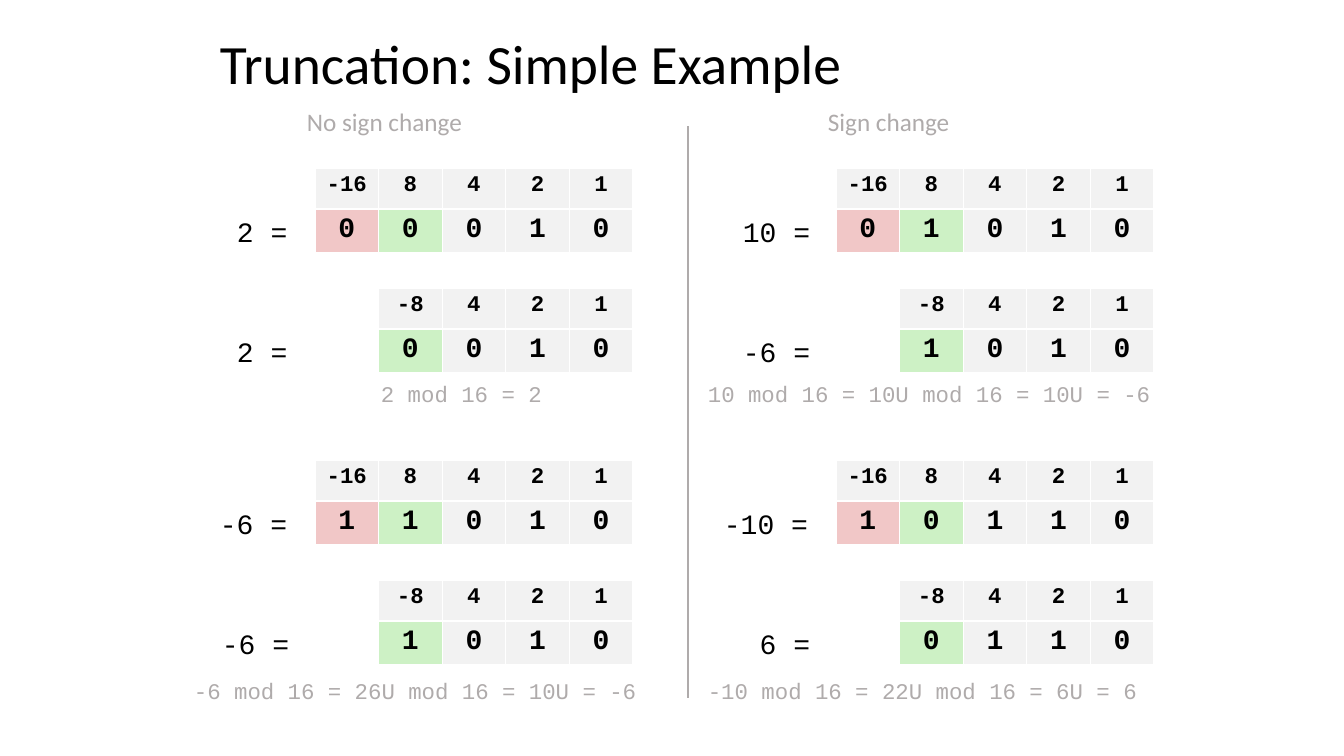
from dataclasses import dataclass

from lxml.etree import SubElement as Sub
from pptx import Presentation
from pptx.dml.color import RGBColor as Color
from pptx.enum.shapes import MSO_CONNECTOR as Link
from pptx.enum.text import MSO_ANCHOR as Anchor, PP_ALIGN as Align
from pptx.oxml.ns import qn
from pptx.util import Pt


@dataclass(frozen=True)
class Theme:
    black: str = "000000"
    white: str = "FFFFFF"
    gray: str = "AFABAB"
    pale: str = "F2F2F2"
    red: str = "F1C7C7"
    green: str = "CDF1C5"
    sans: str = "Calibri"
    mono: str = "Courier New"
    title: float = 39.6
    large: int = 20
    head: int = 18
    small: int = 16


THEME = Theme()
COLS = 5
ROWS = (41, 43)
WIDTH = 318
TOPS = (168, 460)
STEP = 120

# Per half: heading, table left edge, then two cases of
# (label, left, width, bits) rows and a (text, left, width, top) sum.
HALVES = (
    (("No sign change", 297, 178), 315, (
        ((("2 =", 227, 89, "00010"), ("2 =", 227, 89, "0010")),
         ("2 mod 16 = 2", 371, 184, 375)),
        ((("-6 =", 210, 105, "11010"), ("-6 =", 212, 105, "1010")),
         ("-6 mod 16 = 26U mod 16 = 10U = -6", 184, 470, 672)),
    )),
    (("Sign change", 818, 145), 836, (
        ((("10 =", 733, 105, "01010"), ("-6 =", 733, 105, "1010")),
         ("10 mod 16 = 10U mod 16 = 10U = -6", 698, 470, 375)),
        ((("-10 =", 714, 122, "10110"), (" 6 =", 733, 105, "0110")),
         ("-10 mod 16 = 22U mod 16 = 6U = 6", 698, 456, 672)),
    )),
)


def px(n):
    return round(n * 914400 / 100.8)


def add_run(para, text, size, font, color, bold=False):
    run = para.add_run()
    run.text = text
    run.font.size = Pt(size)
    run.font.name = font
    run.font.bold = bold
    run.font.color.rgb = Color.from_string(color)


def add_text(slide, text, box, size, font, color):
    frame = slide.shapes.add_textbox(*map(px, box)).text_frame
    frame.word_wrap = True
    add_run(frame.paragraphs[0], text, size, font, color)
    return frame


def add_title(slide, text):
    frame = add_text(slide, text, (210, 35, 966, 63),
                     THEME.title, THEME.sans, THEME.black)
    frame.vertical_anchor = Anchor.MIDDLE
    frame.paragraphs[0].line_spacing = 0.9


def add_rule(slide, x, top, end):
    rule = slide.shapes.add_connector(
        Link.STRAIGHT, px(x), px(top), px(x), px(end))
    rule.line.color.rgb = Color.from_string(THEME.gray)
    rule.line.width = Pt(2)
    Sub(rule._element.spPr, qn("a:effectLst"))


def style_cell(cell, color):
    """Draw white borders, then fill: the schema wants this order."""
    props = cell._tc.get_or_add_tcPr()
    for side in ("lnL", "lnR", "lnT", "lnB"):
        line = Sub(props, qn(f"a:{side}"), w=str(Pt(1)))
        Sub(Sub(line, qn("a:solidFill")), qn("a:srgbClr"), val=THEME.white)
    cell.fill.solid()
    cell.fill.fore_color.rgb = Color.from_string(color)


def add_bits(slide, left, top, bits):
    """Show bits under their weights, aligned right in five columns."""
    table = slide.shapes.add_table(
        2, COLS, px(left), px(top), px(WIDTH), px(sum(ROWS))).table
    table.first_row = table.horz_banding = False
    for row, high in zip(table.rows, ROWS):
        row.height = px(high)
    marks = {0: THEME.red, 1: THEME.green}
    skip = COLS - len(bits)
    for col in range(COLS):
        table.columns[col].width = px(WIDTH) // COLS
        pair = table.cell(0, col), table.cell(1, col)
        if col < skip:
            for cell in pair:
                style_cell(cell, THEME.white)
            continue
        sign = -1 if col == skip else 1
        weight = sign * 2 ** (COLS - 1 - col)
        looks = ((str(weight), THEME.small, THEME.pale),
                 (bits[col - skip], THEME.large, marks.get(col, THEME.pale)))
        for cell, (text, size, color) in zip(pair, looks):
            style_cell(cell, color)
            para = cell.text_frame.paragraphs[0]
            para.alignment = Align.CENTER
            add_run(para, text, size, THEME.mono, THEME.black, True)


def add_case(slide, edge, top, lines, total):
    for num, (label, left, width, bits) in enumerate(lines):
        y = top + num * STEP
        add_text(slide, label, (left, y + 42, width, 44),
                 THEME.large, THEME.mono, THEME.black)
        add_bits(slide, edge, y, bits)
    text, left, width, y = total
    add_text(slide, text, (left, y, width, 37),
             THEME.small, THEME.mono, THEME.gray)


def main():
    deck = Presentation()
    deck.slide_width, deck.slide_height = px(1344), px(756)
    slide = deck.slides.add_slide(deck.slide_layouts[6])
    add_title(slide, "Truncation: Simple Example")
    add_rule(slide, 688, 126, 698)
    for (head, left, width), edge, cases in HALVES:
        add_text(slide, head, (left, 101, width, 40),
                 THEME.head, THEME.sans, THEME.gray)
        for top, (lines, total) in zip(TOPS, cases):
            add_case(slide, edge, top, lines, total)
    deck.save("out.pptx")


if __name__ == "__main__":
    main()
